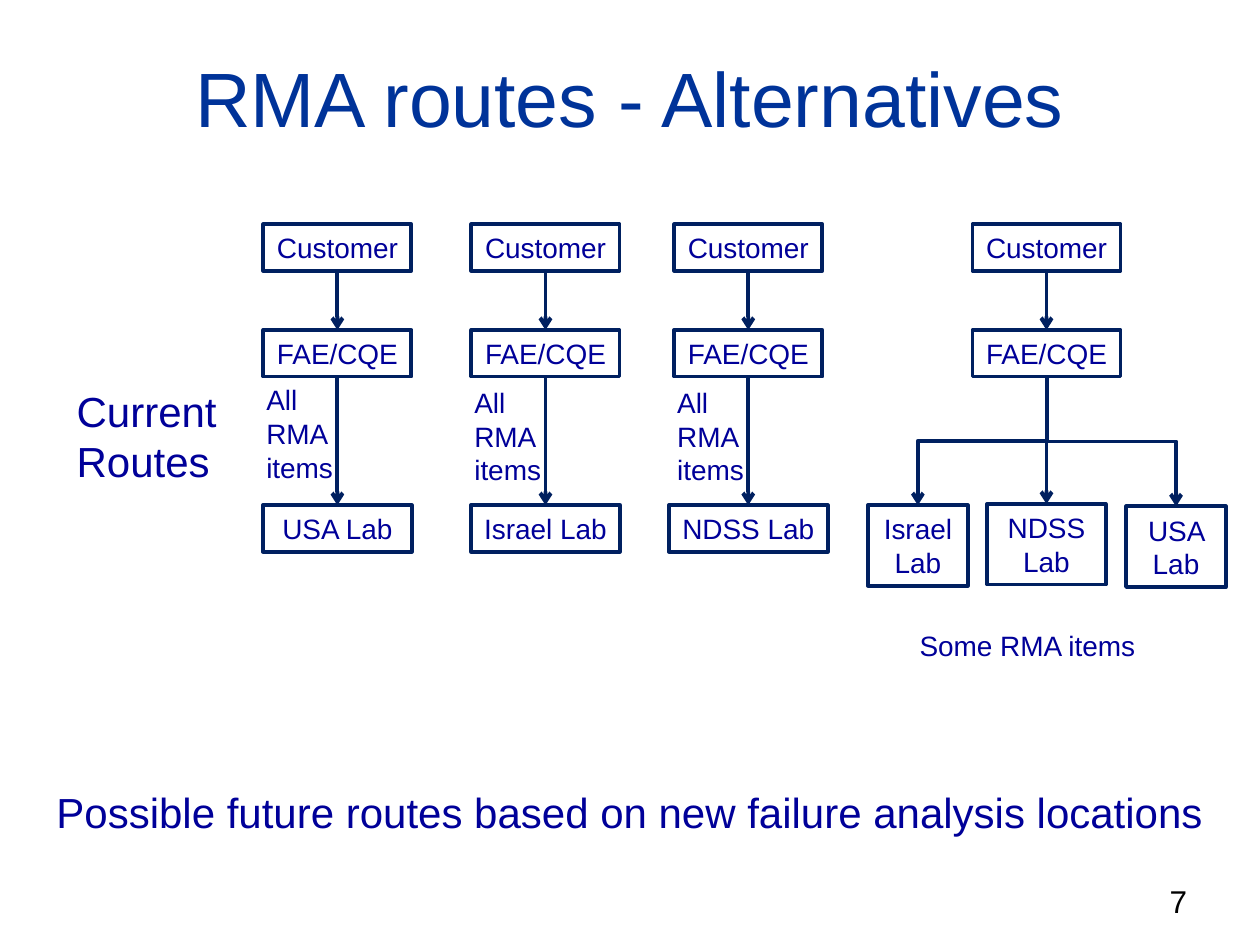
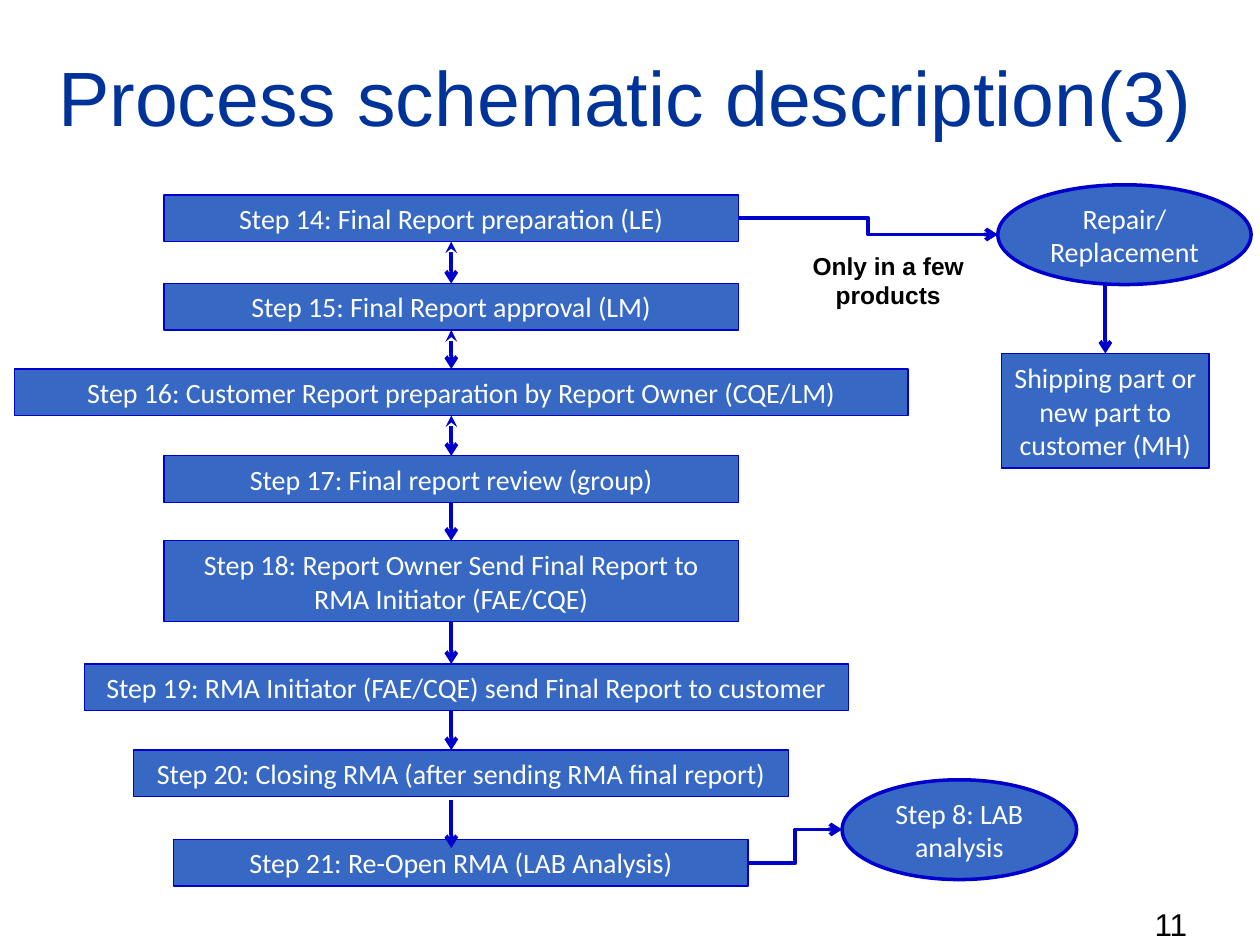
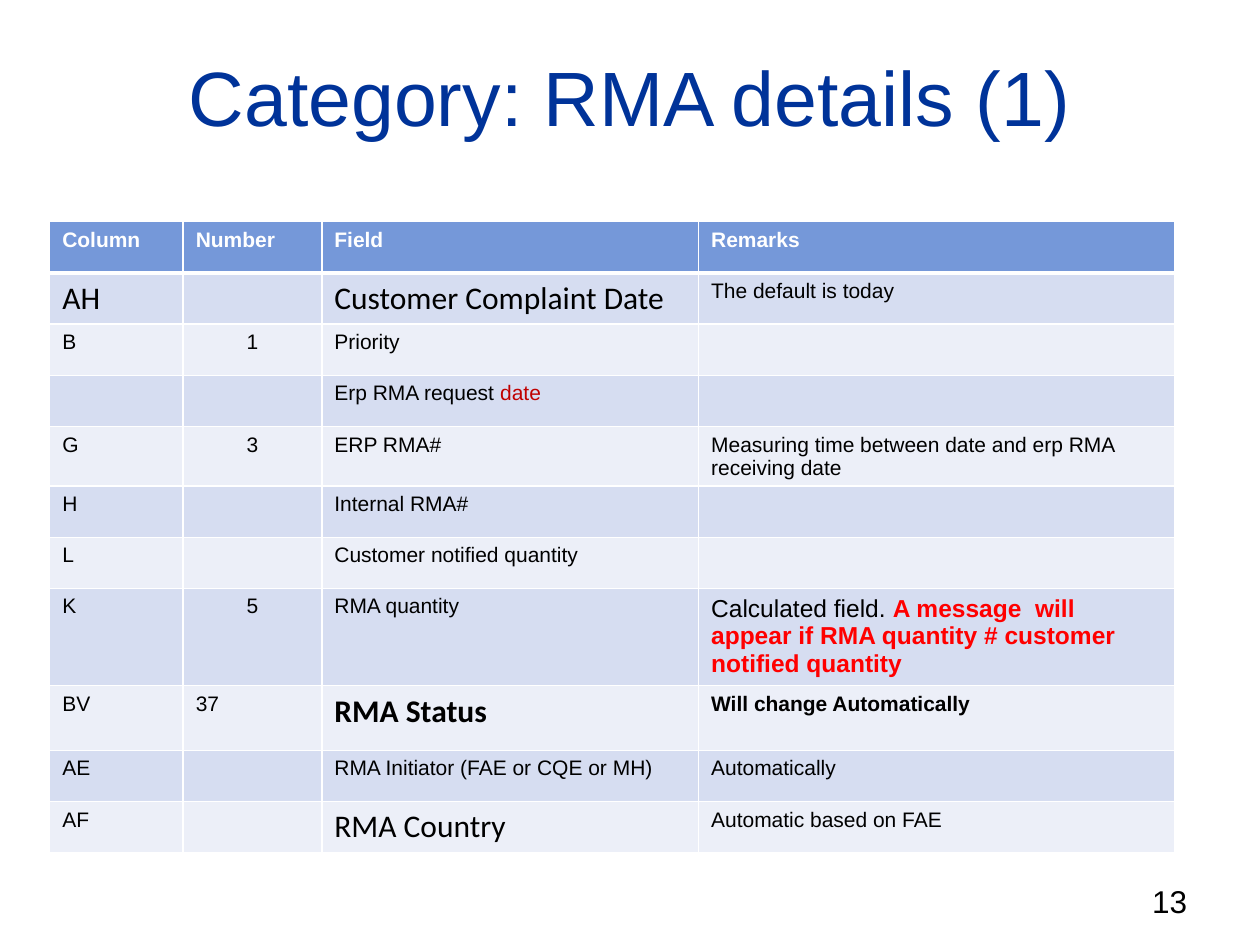
"""Build three slides on RMA routes, the RMA process and the RMA detail fields."""
from lxml import etree
from pptx import Presentation
from pptx import util as u
from pptx.dml.color import RGBColor
from pptx.enum import shapes, text
from pptx.oxml.ns import qn

Pt = u.Pt
LEFT, CENTER, RIGHT = text.PP_ALIGN.LEFT, text.PP_ALIGN.CENTER, text.PP_ALIGN.RIGHT
RECT, OVAL = shapes.MSO_SHAPE.RECTANGLE, shapes.MSO_SHAPE.OVAL
TITLE, INK, NAVY, BLUE, STEP = "003399", "000099", "002060", "0000CC", "3668C4"
BLACK, WHITE, RED, DARK_RED = "000000", "FFFFFF", "FF0000", "C00000"
HEADER, BANDS = "7598D9", ("D6DDF1", "ECEFF8")

STAGES = [("Customer", 128.2), ("FAE/CQE", 188.6)]
STAGE_W, BOX_H, LAB_Y = 84.6, 26.6, 288.7
ROUTES = [("USA Lab", 192.8, 85, 215.3), ("Israel Lab", 311.7, 85, 216.7),
          ("NDSS Lab", 427.6, 90.7, 216.7)]
SPLIT_X = 598
SPLIT_LABS = [("Israel Lab", 524.5, 288.7, 57), ("NDSS Lab", 598, 288, 67.7),
              ("USA Lab", 672, 289.4, 57)]
SPLIT_H = 46
ROUTE_NOTES = [("Current Routes", 36.7, 216.7, 96.5, 65.5, 24),
               ("Some RMA items", 518.4, 355.7, 153.4, 26.6, 16),
               ("Possible future routes based on new failure analysis locations",
                25.2, 445.7, 671.8, 36, 24)]

SPINE_X = 257.9
STEPS = [
    ("Step 14: Final Report preparation (LE)", 93.7, 111.4, 328.3, 26.6),
    ("Step 15: Final Report approval (LM)", 93.7, 162, 328.3, 26.6),
    ("Step 16: Customer Report preparation by Report Owner (CQE/LM)", 8.4, 210.8, 510.5, 26.6),
    ("Step 17: Final report review (group)", 93.7, 260.5, 328.3, 26.6),
    ("Step 18: Report Owner Send Final Report to RMA Initiator (FAE/CQE)",
     93.7, 309, 328.3, 46),
    ("Step 19: RMA Initiator (FAE/CQE) send Final Report to customer", 48.2, 379.4, 436.5, 26.6),
    ("Step 20: Closing RMA (after sending RMA final report)", 76.3, 428.6, 374.4, 26.6),
    ("Step 21: Re-Open RMA (LAB Analysis)", 99.2, 479.7, 328.3, 26.6),
]
TWO_WAY = 3
REOPEN_SPAN = (457.2, 484.6)
REPAIR = ("Repair/ Replacement", 570.2, 105.6, 144.7, 57)
ANALYSIS = ("Step 8: LAB analysis", 481.2, 445.6, 134, 57)
SHIPPING = ("Shipping part or new part to customer (MH)", 572.4, 202, 118.5, 65.5)
SIDE_LINKS = [((422, 124.6), (570.2, 134)), ((427.7, 493.2), (481.2, 474))]

COLS, ROW_H, TALL = (76.3, 79.2, 215.3, 272.2), 29.3, {8: 37}
BIG = {"size": 18, "font": "Calibri"}
FIELDS = [
    ("Column", "Number", "Field", "Remarks"),
    (("AH", BIG), "", ("Customer Complaint Date", BIG), "The default is today"),
    ("B", "1", "Priority", ""),
    ("", "", [("Erp RMA request ", {}), ("date", {"color": DARK_RED})], ""),
    ("G", "3", "ERP RMA#", "Measuring time between date and erp RMA receiving date"),
    ("H", "", "Internal RMA#", ""),
    ("L", "", "Customer notified quantity", ""),
    ("K", "5", "RMA quantity",
     [("Calculated field. ", {"size": 14}),
      ("A message  will appear if RMA quantity # customer notified quantity",
       {"size": 14, "color": RED, "bold": True})]),
    ("BV", "37", ("RMA Status", {**BIG, "bold": True}),
     ("Will change Automatically", {"bold": True})),
    ("AE", "", "RMA Initiator (FAE or CQE or MH)", "Automatically"),
    ("AF", "", ("RMA Country", BIG), "Automatic based on FAE"),
]
CENTERED = ("1", "3", "5")


def rgb(value):
    return RGBColor.from_string(value)


def add_run(p, words, size=12, font="Arial", color=BLACK, bold=False):
    r = p.add_run()
    r.text = words
    r.font.size, r.font.name, r.font.bold = Pt(size), font, bold
    r.font.color.rgb = rgb(color)


def put_text(sp, words, align, wrap=True, **style):
    tf = sp.text_frame
    tf.word_wrap = wrap
    p = tf.paragraphs[0]
    p.alignment = align
    add_run(p, words, **style)
    return tf


def label(s, words, x, y, w, h, align=LEFT, **style):
    sp = s.shapes.add_textbox(Pt(x), Pt(y), Pt(w), Pt(h))
    return put_text(sp, words, align, **style)


def box(s, words, x, y, w, h, line, weight, kind=RECT, fill=None, wrap=True, **style):
    sp = s.shapes.add_shape(kind, Pt(x), Pt(y), Pt(w), Pt(h))
    sp.shadow.inherit = False
    if fill:
        sp.fill.solid()
        sp.fill.fore_color.rgb = rgb(fill)
    else:
        sp.fill.background()
    sp.line.color.rgb, sp.line.width = rgb(line), Pt(weight)
    tf = put_text(sp, words, CENTER, wrap, size=16, **style)
    tf.vertical_anchor = text.MSO_ANCHOR.MIDDLE
    return sp


def route_box(s, words, center, y, w, h=BOX_H, wrap=True):
    return box(s, words, center - w / 2, y, w, h, NAVY, 2.25, wrap=wrap, color=INK)


def step_box(s, item, kind=RECT):
    weight = 2 if kind == OVAL else 0.75
    return box(s, *item, BLUE, weight, kind, STEP, font="Calibri", color=WHITE)


def arrow(s, start, end, color, elbow=False, two_way=False):
    kind = shapes.MSO_CONNECTOR.ELBOW if elbow else shapes.MSO_CONNECTOR.STRAIGHT
    c = s.shapes.add_connector(kind, *(Pt(v) for v in (*start, *end)))
    c.line.color.rgb, c.line.width = rgb(color), Pt(2.25)
    ln = c.line._get_or_add_ln()
    if two_way:
        etree.SubElement(ln, qn("a:headEnd"), type="stealth")
    etree.SubElement(ln, qn("a:tailEnd"), type="arrow")
    etree.SubElement(c._element.spPr, qn("a:effectLst"))
    return c


def join_down(s, upper, lower, color, two_way=False):
    c = arrow(s, (0, 0), (0, 0), color, two_way=two_way)
    c.begin_connect(upper, 2)
    c.end_connect(lower, 0)


def elbow_down(s, start, end, color):
    (x1, y1), (x2, y2) = start, end
    mx, my, across, down = (x1 + x2) / 2, (y1 + y2) / 2, abs(x2 - x1) / 2, (y2 - y1) / 2
    turn = 1 if x2 < x1 else -1
    c = arrow(s, (mx - turn * down, my - across), (mx + turn * down, my + across), color, True)
    degrees = 90 if turn == 1 else 270
    c._element.spPr.find(qn("a:xfrm")).set("rot", str(degrees * 60000))


def new_slide(prs, title, number, x=36, y=20.2, w=648, h=68.4, number_y=500.4):
    s = prs.slides.add_slide(prs.slide_layouts[6])
    tf = label(s, title, x, y, w, h, CENTER, size=44, color=TITLE)
    tf.vertical_anchor = text.MSO_ANCHOR.MIDDLE
    label(s, number, 517.7, number_y, 167.8, 28.8, RIGHT, size=18)
    return s


def add_routes(prs):
    s = new_slide(prs, "RMA routes - Alternatives", "7", y=21.6, h=67)

    def stages(center):
        customer, cqe = (route_box(s, words, center, y, STAGE_W, wrap=False)
                         for words, y in STAGES)
        join_down(s, customer, cqe, NAVY)
        return cqe

    for lab, center, w, note_y in ROUTES:
        cqe = stages(center)
        join_down(s, cqe, route_box(s, lab, center, LAB_Y, w), NAVY)
        label(s, "All RMA items", center - 47.7, note_y, 67.7, 65.5, size=16, color=INK)

    cqe = stages(SPLIT_X)
    for lab, center, y, w in SPLIT_LABS:
        target = route_box(s, lab, center, y, w, SPLIT_H)
        if center == SPLIT_X:
            join_down(s, cqe, target, NAVY)
        else:
            elbow_down(s, (SPLIT_X, STAGES[1][1] + BOX_H), (center, y), NAVY)
    for words, x, y, w, h, size in ROUTE_NOTES:
        label(s, words, x, y, w, h, size=size, color=INK)


def add_process(prs):
    s = new_slide(prs, "Process schematic description(3)", "11", 25.2, w=664.6, number_y=513.4)
    boxes = [step_box(s, item) for item in STEPS]
    for i, (upper, lower) in enumerate(zip(STEPS, STEPS[1:])):
        two_way = i < TWO_WAY
        if upper[1] == lower[1] and upper[3] == lower[3]:
            join_down(s, boxes[i], boxes[i + 1], BLUE, two_way)
        else:
            last = i == len(STEPS) - 2
            top, bottom = REOPEN_SPAN if last else (upper[2] + upper[4], lower[2])
            arrow(s, (SPINE_X, top), (SPINE_X, bottom), BLUE, two_way=two_way)
    for item in (REPAIR, ANALYSIS):
        step_box(s, item, OVAL)
    step_box(s, SHIPPING)
    for start, end in SIDE_LINKS:
        arrow(s, start, end, BLUE, elbow=True)
    ship_x = SHIPPING[1] + SHIPPING[3] / 2
    arrow(s, (ship_x, REPAIR[2] + REPAIR[4]), (ship_x, SHIPPING[2]), BLUE)
    label(s, "Only in a few products", 456.5, 139.7, 102.2, 41, CENTER, size=14, bold=True)


def add_borders(cell, bottom):
    tcPr = cell._tc.get_or_add_tcPr()
    for side, weight in (("L", 1), ("R", 1), ("T", 1), ("B", bottom)):
        ln = etree.SubElement(tcPr, qn("a:ln" + side), w=str(Pt(weight)))
        fill = etree.SubElement(ln, qn("a:solidFill"))
        etree.SubElement(fill, qn("a:srgbClr"), val=WHITE)


def add_fields(prs):
    s = new_slide(prs, "Category: RMA details (1)", "13")
    heights = [TALL.get(i, ROW_H) for i in range(len(FIELDS))]
    table = s.shapes.add_table(len(FIELDS), len(COLS), Pt(28.4), Pt(126.7),
                               Pt(sum(COLS)), Pt(sum(heights))).table
    for column, w in zip(table.columns, COLS):
        column.width = Pt(w)
    for i, (row, h) in enumerate(zip(FIELDS, heights)):
        table.rows[i].height = Pt(h)
        base = {} if i else {"color": WHITE, "bold": True}
        for j, content in enumerate(row):
            cell = table.cell(i, j)
            cell.margin_right, cell.margin_bottom = Pt(12), Pt(1.5)
            add_borders(cell, 1 if i else 3)
            cell.fill.solid()
            cell.fill.fore_color.rgb = rgb(BANDS[(i - 1) % 2] if i else HEADER)
            if not content:
                continue
            p = cell.text_frame.paragraphs[0]
            p.alignment = CENTER if content in CENTERED else LEFT
            if content in CENTERED:
                cell.margin_right = Pt(7.2)
            if isinstance(content, str):
                content = (content, {})
            for words, style in [content] if isinstance(content, tuple) else content:
                add_run(p, words, **{**base, **style})


def main():
    prs = Presentation()
    prs.slide_width, prs.slide_height = Pt(720), Pt(540)
    add_routes(prs)
    add_process(prs)
    add_fields(prs)
    prs.save("out.pptx")


if __name__ == "__main__":
    main()
